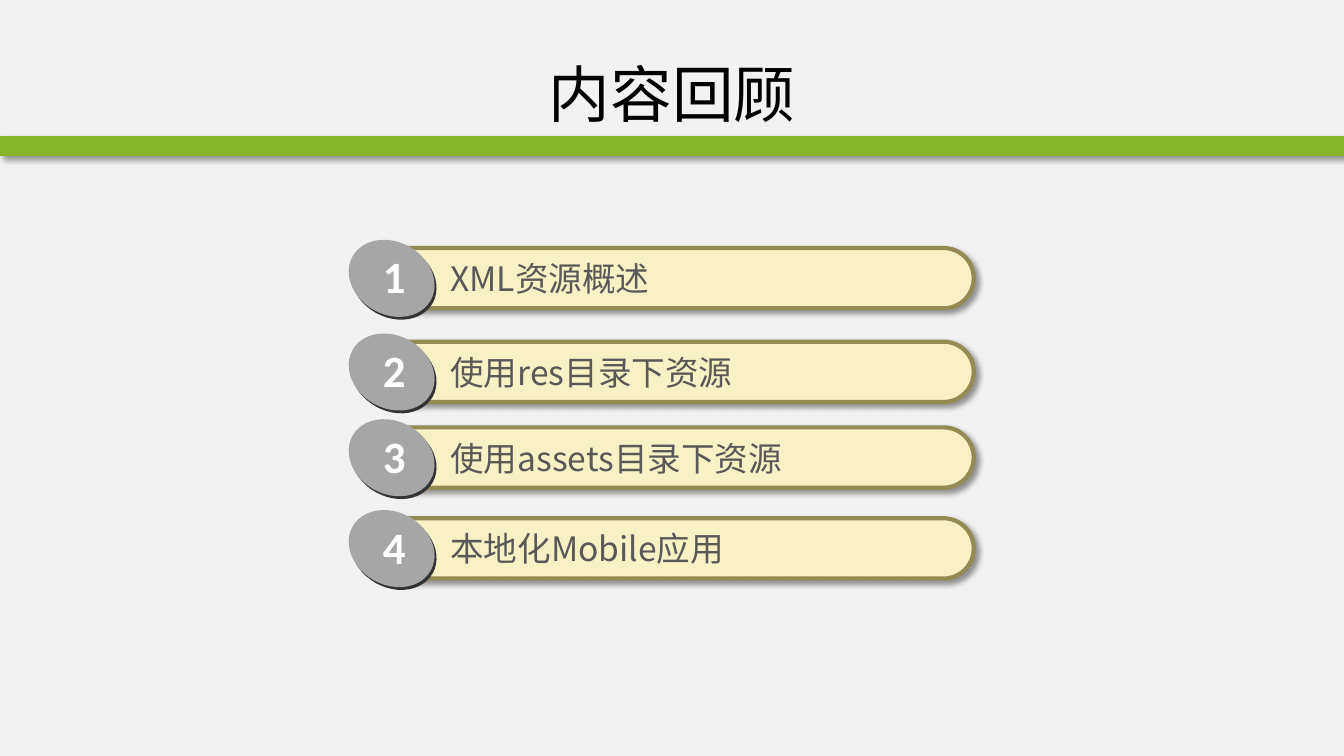
import lxml.etree
import pptx
import pptx.dml.color
import pptx.enum.shapes
import pptx.enum.text
import pptx.oxml.ns
import pptx.util

TITLE = "内容回顾"
# (label, top of the pill in cm)
TOPICS = [
    ("XML资源概述", 6.25),
    ("使用res目录下资源", 8.61),
    ("使用assets目录下资源", 10.77),
    ("本地化Mobile应用", 13.06),
]
COLORS = {
    "background": "F2F2F2", "bar": "88B429", "pill": "F7F1C4", "outline": "948A54",
    "badge": "A6A6A6", "badge_edge": "333333", "label": "595959",
    "number": "FFFFFF", "title": "000000",
}
CJK_FONT = "Noto Sans CJK SC"
SLIDE_WIDTH, SLIDE_HEIGHT = 33.87, 19.05

Cm, Pt = pptx.util.Cm, pptx.util.Pt
SHAPE = pptx.enum.shapes.MSO_SHAPE
ALIGN = pptx.enum.text.PP_ALIGN
qn = pptx.oxml.ns.qn


def rgb(name):
    return pptx.dml.color.RGBColor.from_string(COLORS[name])


def add_filled(shapes, kind, box, fill):
    s = shapes.add_shape(kind, *map(Cm, box))
    s.shadow.inherit = False
    s.fill.solid()
    s.fill.fore_color.rgb = rgb(fill)
    s.line.fill.background()
    return s


def add_drop_shadow(s):
    effects = s._element.spPr.find(qn("a:effectLst"))
    shadow = lxml.etree.SubElement(
        effects, qn("a:outerShdw"), blurRad=str(Pt(4)), dist=str(Pt(3)),
        dir=str(45 * 60000), algn="tl", rotWithShape="0")
    color = lxml.etree.SubElement(shadow, qn("a:srgbClr"), val="000000")
    lxml.etree.SubElement(color, qn("a:alpha"), val="40000")


def write(tf, text, size, color, font, bold=False, align=ALIGN.LEFT):
    tf.text = text
    p = tf.paragraphs[0]
    p.alignment = align
    r = p.runs[0]
    r.font.size = Pt(size)
    r.font.bold = bold
    r.font.name = font
    r.font.color.rgb = rgb(color)
    latin = r.font._element.find(qn("a:latin"))
    latin.addnext(latin.makeelement(qn("a:ea"), {"typeface": font}))


def add_topic(slide, number, label, top):
    shapes = slide.shapes.add_group_shape().shapes

    pill = add_filled(shapes, SHAPE.ROUNDED_RECTANGLE, (9.3, top, 15.24, 1.52), "pill")
    pill.adjustments[0] = 0.5
    pill.line.color.rgb = rgb("outline")
    pill.line.width = Pt(3)
    add_drop_shadow(pill)

    tf = shapes.add_textbox(Cm(11.1), Cm(top + 0.13), Cm(12.93), Cm(1.27)).text_frame
    tf.word_wrap = True
    write(tf, label, 24, "label", CJK_FONT)

    for left, rise, fill in [(8.79, 0.08, "badge_edge"), (8.74, 0.15, "badge")]:
        badge = add_filled(shapes, SHAPE.OVAL, (left, top - rise, 2.26, 1.83), fill)
        badge.rotation = 29.3

    tf = shapes.add_textbox(Cm(9.4), Cm(top - 0.1), Cm(1.09), Cm(1.63)).text_frame
    tf.word_wrap = False
    write(tf, str(number), 32, "number", "Calibri", bold=True)


def main():
    prs = pptx.Presentation()
    prs.slide_width, prs.slide_height = Cm(SLIDE_WIDTH), Cm(SLIDE_HEIGHT)
    slide = prs.slides.add_slide(prs.slide_layouts[5])
    slide.background.fill.solid()
    slide.background.fill.fore_color.rgb = rgb("background")

    title = slide.shapes.title
    title.left, title.top, title.width, title.height = map(Cm, (1.7, 0.76, 30.48, 3.18))
    title.text_frame.vertical_anchor = pptx.enum.text.MSO_ANCHOR.MIDDLE
    write(title.text_frame, TITLE, 44, "title", CJK_FONT, align=ALIGN.CENTER)

    bar = add_filled(slide.shapes, SHAPE.RECTANGLE, (0, 3.43, SLIDE_WIDTH, 0.5), "bar")
    add_drop_shadow(bar)

    for number, (label, top) in enumerate(TOPICS, start=1):
        add_topic(slide, number, label, top)

    prs.save("out.pptx")


if __name__ == "__main__":
    main()
